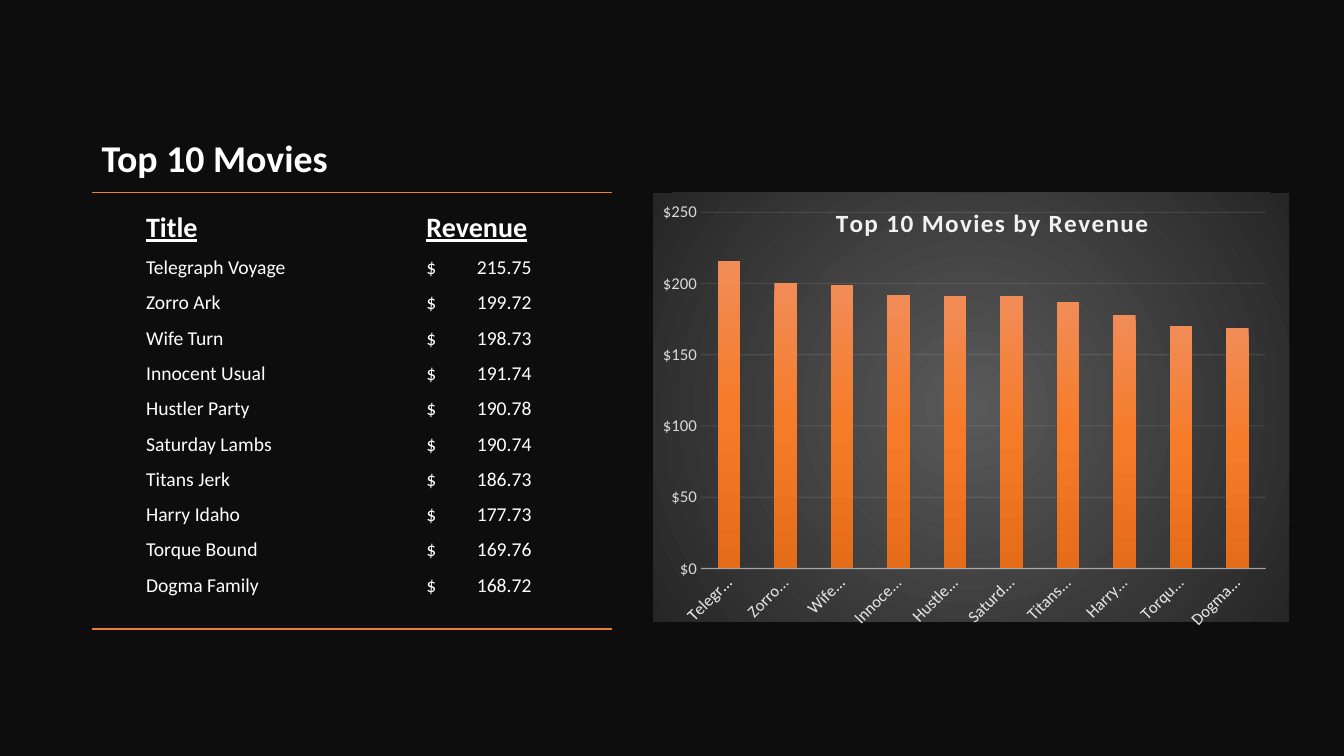
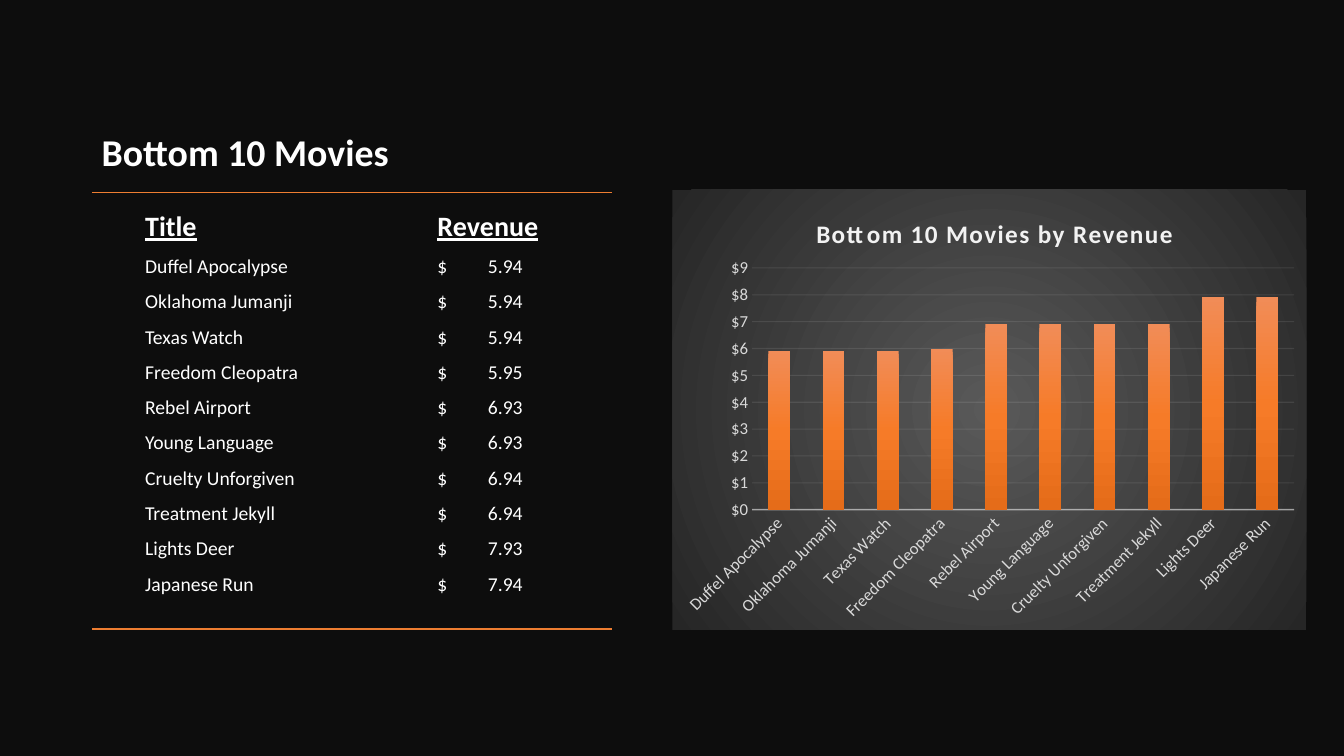
from dataclasses import dataclass

from lxml.etree import SubElement
from pptx import Presentation
from pptx.chart.data import CategoryChartData
from pptx.dml.color import RGBColor
from pptx.enum.chart import XL_CHART_TYPE, XL_TICK_MARK
from pptx.enum.shapes import MSO_CONNECTOR
from pptx.enum.text import MSO_ANCHOR, MSO_AUTO_SIZE, PP_ALIGN
from pptx.oxml import parse_xml
from pptx.oxml.ns import nsdecls, qn
from pptx.util import Inches, Pt

SLIDE_WIDTH, SLIDE_HEIGHT = Inches(13.33), Inches(7.5)
NIGHT = RGBColor(0x0D, 0x0D, 0x0D)
WHITE = RGBColor(0xFF, 0xFF, 0xFF)
ORANGE = RGBColor(0xED, 0x7D, 0x31)
PALE_GRAY = RGBColor(0xF2, 0xF2, 0xF2)
LABEL_GRAY = RGBColor(0xD9, 0xD9, 0xD9)
PANEL_CENTER = RGBColor(0x59, 0x59, 0x59)
PANEL_EDGE = RGBColor(0x26, 0x26, 0x26)
BAR_STOPS = {0: RGBColor(0xF1, 0x8C, 0x57), 50: RGBColor(0xF6, 0x7B, 0x28),
             100: RGBColor(0xE5, 0x6C, 0x19)}

BASE_FONT = {"name": "Calibri", "bold": False}
TITLE_FONT = BASE_FONT | {"size": Pt(27), "bold": True}
HEADER_FONT = BASE_FONT | {"size": Pt(20), "bold": True, "underline": True}
ENTRY_FONT = BASE_FONT | {"size": Pt(14), "underline": False}
AXIS_FONT = BASE_FONT | {"size": Pt(12)}
CHART_TITLE_FONT = BASE_FONT | {"size": Pt(18), "bold": True}

RULE_LEFT, RULE_RIGHT = 6.82, 45.52
RULE_ROWS = (25.47, 83.2)
LIST_HEIGHT = 52.53
AMOUNT_TAB = 6.08


@dataclass
class Ranking:
    """Boxes are left, top, width, height in grid units; layouts are shares of the chart."""
    heading: str
    revenue: dict
    title_top: float
    list_top: float
    names_left: float
    amounts_left: float
    chart_box: tuple
    chart_title_layout: dict
    plot_layout: dict
    axis_maximum: int
    axis_step: int
    digits: int


RANKINGS = (
    Ranking(
        "Top 10 Movies",
        {"Telegraph Voyage": 215.75, "Zorro Ark": 199.72, "Wife Turn": 198.73,
         "Innocent Usual": 191.74, "Hustler Party": 190.78, "Saturday Lambs": 190.74,
         "Titans Jerk": 186.73, "Harry Idaho": 177.73, "Torque Bound": 169.76,
         "Dogma Family": 168.72},
        title_top=6.67, list_top=27.07, names_left=10.12, amounts_left=30.98,
        chart_box=(48.6, 25.47, 47.32, 57.73),
        chart_title_layout={"x": 0.28, "y": 0.02},
        plot_layout={"x": 0.075, "y": 0.046, "w": 0.888, "h": 0.83},
        axis_maximum=250, axis_step=50, digits=0),
    Ranking(
        "Bottom 10 Movies",
        {"Duffel Apocalypse": 5.94, "Oklahoma Jumanji": 5.94, "Texas Watch": 5.94,
         "Freedom Cleopatra": 5.95, "Rebel Airport": 6.93, "Young Language": 6.93,
         "Cruelty Unforgiven": 6.94, "Treatment Jekyll": 6.94, "Lights Deer": 7.93,
         "Japanese Run": 7.94},
        title_top=5.87, list_top=26.93, names_left=10.05, amounts_left=31.8,
        chart_box=(50.02, 25.07, 47.18, 58.27),
        chart_title_layout={"x": 0.22, "y": 0.05},
        plot_layout={"x": 0.126, "y": 0.178, "w": 0.855, "h": 0.549},
        axis_maximum=9, axis_step=1, digits=1),
)


def column(number):
    """Width of so many hundredths of the slide."""
    return int(SLIDE_WIDTH * number / 100)


def row(number):
    """Height of so many hundredths of the slide."""
    return int(SLIDE_HEIGHT * number / 100)


def grid_box(left, top, width, height):
    return column(left), row(top), column(width), row(height)


def set_attributes(target, values):
    for name, value in values.items():
        setattr(target, name, value)


def set_font(font, values, color):
    set_attributes(font, values)
    font.color.rgb = color


def place(shape, left, top, width, height):
    names = ("left", "top", "width", "height")
    set_attributes(shape, dict(zip(names, grid_box(left, top, width, height))))


def set_frame(shape, anchor):
    set_attributes(shape.text_frame, {"word_wrap": True, "vertical_anchor": anchor,
                                      "auto_size": MSO_AUTO_SIZE.NONE})


def write(paragraph, text, font, spacing):
    set_attributes(paragraph, {"line_spacing": spacing, "space_before": Pt(0),
                               "alignment": PP_ALIGN.LEFT})
    run = paragraph.add_run()
    run.text = text
    set_font(run.font, font, WHITE)


def add_title(slide, ranking):
    title = slide.shapes.title
    place(title, RULE_LEFT, ranking.title_top, RULE_RIGHT - RULE_LEFT, 17.87)
    set_frame(title, MSO_ANCHOR.BOTTOM)
    write(title.text_frame.paragraphs[0], ranking.heading, TITLE_FONT, 0.9)


def add_rule(slide, top):
    rule = slide.shapes.add_connector(MSO_CONNECTOR.STRAIGHT, column(RULE_RIGHT), row(top),
                                      column(RULE_LEFT), row(top))
    rule.line.color.rgb = ORANGE
    rule.line.width = Pt(1)
    SubElement(rule.element.xpath("p:spPr")[0], qn("a:effectLst"))


def clear_bullet(paragraph):
    """Drop the bullet and indent, and add a right tab that lines up amounts."""
    properties = paragraph._p.get_or_add_pPr()
    properties.set("marL", "0")
    properties.set("indent", "0")
    SubElement(properties, qn("a:buNone"))
    tabs = SubElement(properties, qn("a:tabLst"))
    SubElement(tabs, qn("a:tab"), pos=str(column(AMOUNT_TAB)), algn="r")


def fill_list(placeholder, box, header, entries):
    place(placeholder, *box)
    set_frame(placeholder, MSO_ANCHOR.TOP)
    frame = placeholder.text_frame
    for index, text in enumerate([header, *entries]):
        paragraph = frame.add_paragraph() if index else frame.paragraphs[0]
        clear_bullet(paragraph)
        font, spacing = (ENTRY_FONT, 1.5) if index else (HEADER_FONT, 1.0)
        write(paragraph, text, font, spacing)


def gradient(stops, direction):
    stop_xml = "".join(f'<a:gs pos="{share * 1000}"><a:srgbClr val="{color}"/></a:gs>'
                       for share, color in stops.items())
    return f"<a:gradFill {nsdecls('a')}><a:gsLst>{stop_xml}</a:gsLst>{direction}</a:gradFill>"


def set_layout(parent, index, shares, inner=False):
    """Fix a chart part at shares of the chart's size."""
    for old in parent.findall(qn("c:layout")):
        parent.remove(old)
    layout = parse_xml(f"<c:layout {nsdecls('c')}><c:manualLayout/></c:layout>")
    manual = layout[0]
    if inner:
        SubElement(manual, qn("c:layoutTarget"), val="inner")
    for name in ("x", "y"):
        SubElement(manual, qn(f"c:{name}Mode"), val="edge")
    for name, share in shares.items():
        SubElement(manual, qn(f"c:{name}"), val=str(share))
    parent.insert(index, layout)


def set_line(chart, line, width, color_query, opacity):
    line.color.rgb = PALE_GRAY
    line.width = Pt(width)
    for color in chart.element.xpath(color_query):
        SubElement(color, qn("a:alpha"), val=str(opacity * 1000))


def format_axes(chart, ranking):
    for axis in (chart.category_axis, chart.value_axis):
        axis.major_tick_mark = axis.minor_tick_mark = XL_TICK_MARK.NONE
        set_font(axis.tick_labels.font, AXIS_FONT, LABEL_GRAY)
    set_line(chart, chart.category_axis.format.line, 1,
             ".//c:catAx/c:spPr//a:srgbClr", 54)
    chart.element.xpath(".//c:catAx/c:txPr/a:bodyPr")[0].set("rot", "-2700000")

    values = chart.value_axis
    set_attributes(values, {"minimum_scale": 0, "maximum_scale": ranking.axis_maximum,
                            "major_unit": ranking.axis_step, "has_major_gridlines": True})
    set_attributes(values.tick_labels, {"number_format": '"$"#,##0',
                                        "number_format_is_linked": False})
    values.format.line.fill.background()
    set_line(chart, values.major_gridlines.format.line, 0.75,
             ".//c:majorGridlines//a:srgbClr", 10)


def format_bars(chart):
    plot = chart.plots[0]
    set_attributes(plot, {"gap_width": 150, "overlap": 100, "vary_by_categories": False})
    plot.series[0].format.fill.solid()
    plain_fill = chart.element.xpath(".//c:ser/c:spPr/a:solidFill")[0]
    bar_fill = parse_xml(gradient(BAR_STOPS, '<a:lin ang="5400000" scaled="0"/>'))
    plain_fill.getparent().replace(plain_fill, bar_fill)


def fill_panel(chart):
    center = ('<a:path path="circle">'
              '<a:fillToRect l="50000" t="50000" r="50000" b="50000"/></a:path>')
    fill = gradient({0: PANEL_CENTER, 100: PANEL_EDGE}, center)
    panel = parse_xml(f"<c:spPr {nsdecls('c', 'a')}>{fill}<a:ln><a:noFill/></a:ln></c:spPr>")
    chart.element.find(qn("c:chart")).addnext(panel)


def add_chart_title(chart, ranking):
    chart.has_title = True
    paragraph = chart.chart_title.text_frame.paragraphs[0]
    run = paragraph.add_run()
    run.text = f"{ranking.heading} by Revenue"
    set_font(run.font, CHART_TITLE_FONT, PALE_GRAY)
    run.font._element.set("spc", "100")
    set_layout(chart.element.xpath("c:chart/c:title")[0], 1, ranking.chart_title_layout)


def add_revenue_chart(slide, ranking):
    data = CategoryChartData()
    data.categories = list(ranking.revenue)
    data.add_series("Series 1", [round(value, ranking.digits)
                                 for value in ranking.revenue.values()])
    chart = slide.shapes.add_chart(XL_CHART_TYPE.COLUMN_STACKED,
                                   *grid_box(*ranking.chart_box), data).chart
    chart.has_legend = False
    set_font(chart.font, BASE_FONT | {"size": Pt(10)}, LABEL_GRAY)
    add_chart_title(chart, ranking)
    format_axes(chart, ranking)
    format_bars(chart)
    fill_panel(chart)
    set_layout(chart.element.xpath(".//c:plotArea")[0], 0, ranking.plot_layout, inner=True)


def add_ranking_slide(presentation, ranking):
    slide = presentation.slides.add_slide(presentation.slide_layouts.get_by_name("Two Content"))
    add_title(slide, ranking)
    for top in RULE_ROWS:
        add_rule(slide, top)
    names, amounts = slide.placeholders[1], slide.placeholders[2]
    fill_list(names, (ranking.names_left, ranking.list_top, 14.25, LIST_HEIGHT),
              "Title", ranking.revenue)
    fill_list(amounts, (ranking.amounts_left, ranking.list_top, 10.12, LIST_HEIGHT),
              "Revenue", [f"$\t{value:.2f}" for value in ranking.revenue.values()])
    add_revenue_chart(slide, ranking)


def main():
    presentation = Presentation()
    set_attributes(presentation, {"slide_width": SLIDE_WIDTH, "slide_height": SLIDE_HEIGHT})
    background = presentation.slide_master.background.fill
    background.solid()
    background.fore_color.rgb = NIGHT
    for ranking in RANKINGS:
        add_ranking_slide(presentation, ranking)
    presentation.save("out.pptx")


if __name__ == "__main__":
    main()
